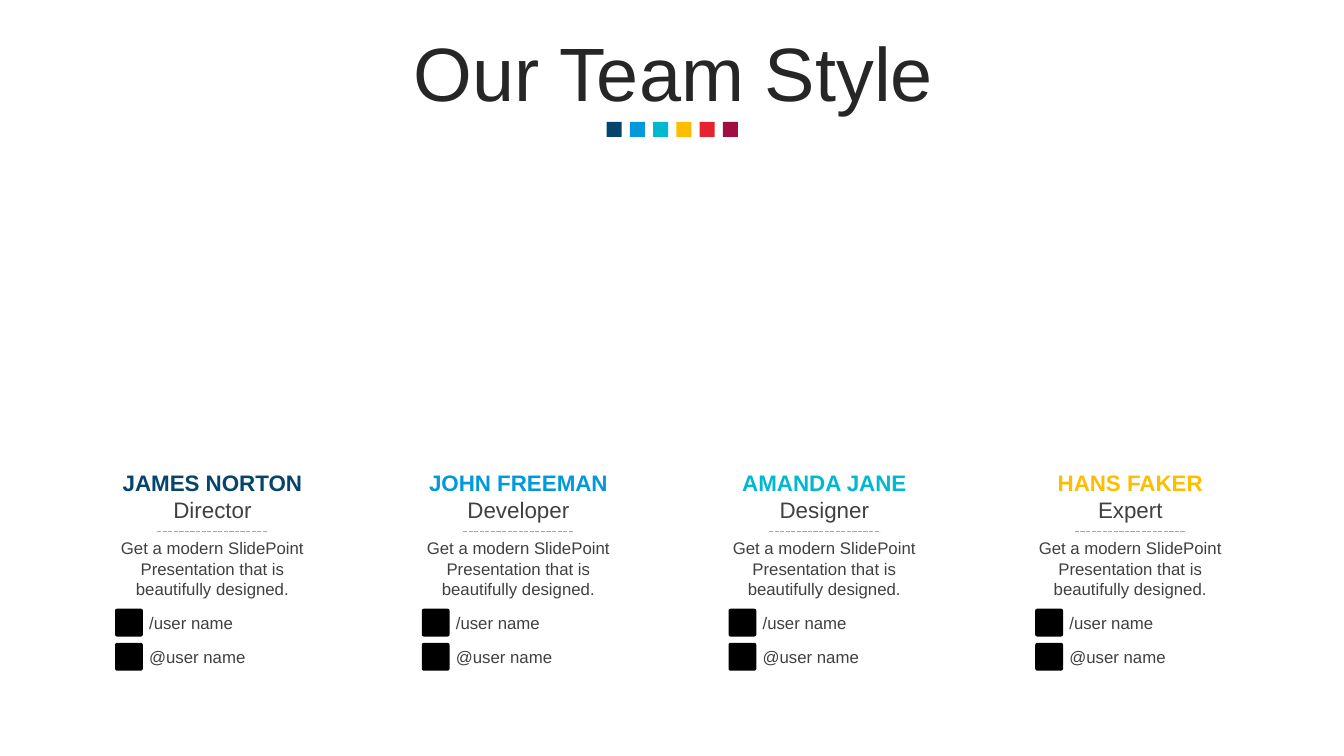
from lxml.etree import SubElement
from pptx import Presentation
from pptx.dml.color import RGBColor
from pptx.enum.dml import MSO_LINE
from pptx.enum.shapes import MSO_CONNECTOR, MSO_SHAPE
from pptx.enum.text import MSO_ANCHOR, MSO_AUTO_SIZE, PP_ALIGN
from pptx.oxml.ns import qn
from pptx.util import Cm, Pt

HUES = {
    "navy": "05456B", "blue": "0199DC", "teal": "00B8D0",
    "gold": "FEBD00", "red": "E7222F", "wine": "A10E42",
    "title": "262626", "text": "404040", "rule": "A6A6A6", "icon": "000000",
}
TEAM = [
    ("JAMES NORTON", "Director", "navy"),
    ("JOHN FREEMAN", "Developer", "blue"),
    ("AMANDA JANE", "Designer", "teal"),
    ("HANS FAKER", "Expert", "gold"),
]
ABOUT = "Get a modern SlidePoint Presentation that is beautifully designed."


def add_text(text, left, top, width, height, size=12, hue="text",
             bold=False, align=PP_ALIGN.CENTER, anchor=MSO_ANCHOR.TOP):
    box = slide.shapes.add_textbox(Cm(left), Cm(top), Cm(width), Cm(height))
    frame = box.text_frame
    frame.margin_left = frame.margin_right = 0
    frame.margin_top = frame.margin_bottom = 0
    frame.word_wrap = True
    frame.auto_size = MSO_AUTO_SIZE.SHAPE_TO_FIT_TEXT
    frame.vertical_anchor = anchor
    frame.text = text
    para = frame.paragraphs[0]
    para.alignment = align
    font = para.runs[0].font
    font.name = "Arial"
    font.size = Pt(size)
    font.bold = bold
    font.color.rgb = RGBColor.from_string(HUES[hue])


def add_block(kind, left, top, side, hue):
    block = slide.shapes.add_shape(kind, Cm(left), Cm(top), Cm(side), Cm(side))
    block.shadow.inherit = False
    block.fill.solid()
    block.fill.fore_color.rgb = RGBColor.from_string(HUES[hue])
    block.line.fill.background()
    return block


deck = Presentation()
deck.slide_width = Cm(33.87)
deck.slide_height = Cm(19.05)
slide = deck.slides.add_slide(deck.slide_layouts[5])

title = slide.shapes.title
title.left, title.top = Cm(0.89), Cm(0.94)
title.width, title.height = Cm(32.16), Cm(2.01)
frame = title.text_frame
frame.text = "Our Team Style"
frame.auto_size = MSO_AUTO_SIZE.NONE
frame.vertical_anchor = MSO_ANCHOR.MIDDLE
para = frame.paragraphs[0]
para.alignment = PP_ALIGN.CENTER
para.line_spacing = 0.9
font = para.runs[0].font
font.name = "Arial"
font.size = Pt(54)
font.color.rgb = RGBColor.from_string(HUES["title"])

for spot, hue in enumerate(["navy", "blue", "teal", "gold", "red", "wine"]):
    add_block(MSO_SHAPE.RECTANGLE, 15.29 + 0.585 * spot, 3.07, 0.38, hue)

for col, (name, role, hue) in enumerate(TEAM):
    left = 2.74 + 7.71 * col
    add_text(name, left, 11.81, 5.23, 0.68, 16, hue, True)
    add_text(role, left, 12.5, 5.23, 0.68, 16)
    add_text(ABOUT, left, 13.56, 5.23, 1.55)

    rule = slide.shapes.add_connector(
        MSO_CONNECTOR.STRAIGHT,
        Cm(left + 1.22), Cm(13.39), Cm(left + 4.02), Cm(13.39))
    rule.line.color.rgb = RGBColor.from_string(HUES["rule"])
    rule.line.width = Pt(1)
    rule.line.dash_style = MSO_LINE.SQUARE_DOT
    SubElement(rule.element.spPr, qn("a:effectLst"))

    edge = 2.9 + 7.73 * col
    for row, user in enumerate(["/user name", "@user name"]):
        top = 15.34 + 0.86 * row
        icon = add_block(MSO_SHAPE.ROUNDED_RECTANGLE, edge, top, 0.7, "icon")
        icon.adjustments[0] = 0.07
        add_text(user, edge + 0.86, top + 0.09, 3.99, 0.51,
                 align=PP_ALIGN.LEFT, anchor=MSO_ANCHOR.MIDDLE)

deck.save("out.pptx")
